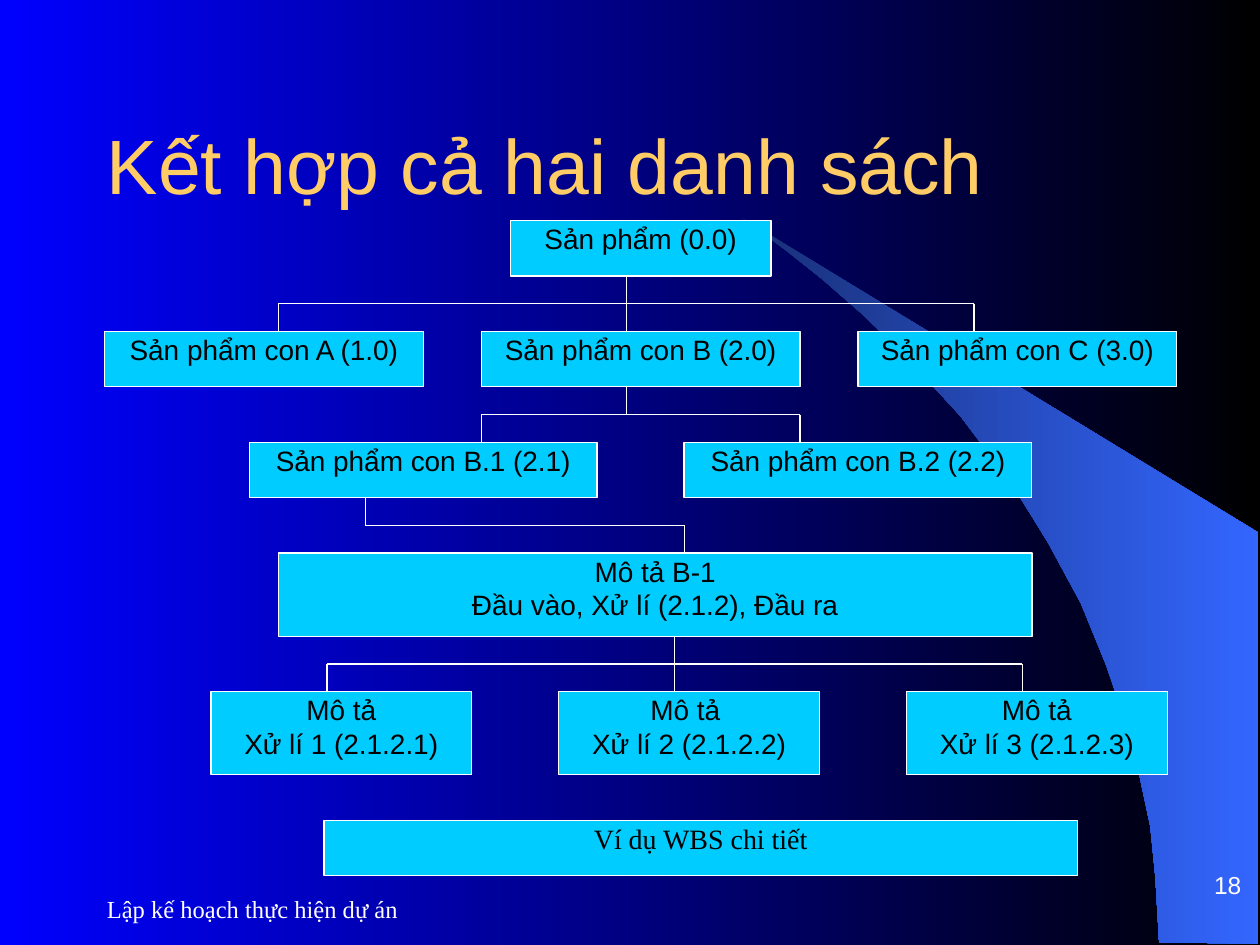
from lxml import etree
from pptx import Presentation
from pptx.dml.color import RGBColor
from pptx.enum.shapes import MSO_CONNECTOR, MSO_SHAPE
from pptx.enum.text import MSO_ANCHOR, PP_ALIGN
from pptx.oxml.ns import qn
from pptx.util import Inches, Pt

LINE, RECT = MSO_CONNECTOR.STRAIGHT, MSO_SHAPE.RECTANGLE
TOP, MID, LOW = MSO_ANCHOR.TOP, MSO_ANCHOR.MIDDLE, MSO_ANCHOR.BOTTOM
LEFT, MIDDLE, RIGHT = PP_ALIGN.LEFT, PP_ALIGN.CENTER, PP_ALIGN.RIGHT

BLUE = RGBColor(0x00, 0x00, 0xFF)
BLACK = RGBColor(0x00, 0x00, 0x00)
WHITE = RGBColor(0xFF, 0xFF, 0xFF)
CYAN = RGBColor(0x00, 0xCC, 0xFF)
GOLD = RGBColor(0xFF, 0xCC, 0x66)
NAVY = RGBColor(0x18, 0x2F, 0x76)
SKY = RGBColor(0x33, 0x66, 0xFF)

SANS, SERIF = "Arial", "Times New Roman"

# Grid of the chart, in inches
LEFT0, COL = 0.83, 0.23
TOP0, ROW = 1.75, 0.22

# Outline of the curved wedge, in inches
WEDGE = [
    (9.2, 7.48), (9.99, 7.49), (9.99, 4.23), (5.89, 1.73), (6.24, 1.99),
    (6.53, 2.22), (6.85, 2.5), (7.16, 2.8), (7.62, 3.3), (8.03, 3.84),
    (8.32, 4.31), (8.58, 4.79), (8.78, 5.28), (8.93, 5.72), (9.03, 6.09),
    (9.13, 6.56), (9.17, 6.96),
]

# Boxes: column, row, columns wide, rows high, text
BOXES = [
    (14, 0, 9, 2, "Sản phẩm (0.0)"),
    (0, 4, 11, 2, "Sản phẩm con A (1.0)"),
    (13, 4, 11, 2, "Sản phẩm con B (2.0)"),
    (26, 4, 11, 2, "Sản phẩm con C (3.0)"),
    (5, 8, 12, 2, "Sản phẩm con B.1 (2.1)"),
    (20, 8, 12, 2, "Sản phẩm con B.2 (2.2)"),
    (6, 12, 26, 3, "Mô tả B-1\nĐầu vào, Xử lí (2.1.2), Đầu ra"),
    (3.67, 17, 9, 3, "Mô tả\nXử lí 1 (2.1.2.1)"),
    (15.67, 17, 9, 3, "Mô tả \nXử lí 2 (2.1.2.2)"),
    (27.67, 17, 9, 3, "Mô tả\nXử lí 3 (2.1.2.3)"),
]

# Branches: row of the bar, column of the stem, columns of the drops
TREES = [
    (3, 18, (6, 18, 30)),
    (7, 18, (13, 24)),
    (11, 9, (20,)),
    (16, 19.67, (7.67, 19.67, 31.67)),
]


def grid_x(col):
    return Inches(LEFT0 + col * COL)


def grid_y(row):
    return Inches(TOP0 + row * ROW)


def blend(fill, start, end):
    fill.gradient()
    fill.gradient_angle = 0
    for stop, color in zip(fill.gradient_stops, (start, end)):
        stop.color.rgb = color


def write(shape, text, size, font, color, align, anchor, pad_x, pad_y):
    frame = shape.text_frame
    frame.word_wrap = True
    frame.vertical_anchor = anchor
    frame.margin_left = frame.margin_right = Inches(pad_x)
    frame.margin_top = frame.margin_bottom = Inches(pad_y)
    frame.text = text
    for para in frame.paragraphs:
        para.alignment = align
        para.font.size = Pt(size)
        para.font.name = font
        para.font.color.rgb = color


def add_label(slide, place, text, size, font, color, align, anchor, pad_y):
    box = slide.shapes.add_textbox(*map(Inches, place))
    write(box, text, size, font, color, align, anchor, 0.1, pad_y)


def add_box(slide, col, row, wide, high, text, font=SANS):
    box = slide.shapes.add_shape(
        RECT, grid_x(col), grid_y(row), Inches(wide * COL), Inches(high * ROW))
    box.shadow.inherit = False
    box.fill.solid()
    box.fill.fore_color.rgb = CYAN
    box.line.color.rgb = WHITE
    box.line.width = Pt(0.75)
    write(box, text, 16, font, BLACK, MIDDLE, TOP, 0.02, 0.01)


def add_line(slide, col1, row1, col2, row2):
    line = slide.shapes.add_connector(
        LINE, grid_x(col1), grid_y(row1), grid_x(col2), grid_y(row2))
    line.line.color.rgb = WHITE
    line.line.width = Pt(0.75)
    etree.SubElement(line._element.spPr, qn("a:effectLst"))


def add_tree(slide, row, stem, drops):
    cols = sorted({stem, *drops})
    add_line(slide, cols[0], row, cols[-1], row)
    for col in cols:
        start = row - 1 if col == stem else row
        end = row + 1 if col in drops else row
        add_line(slide, col, start, col, end)


def add_wedge(slide):
    points = [(Inches(x), Inches(y)) for x, y in WEDGE]
    path = slide.shapes.build_freeform(*points[0])
    path.add_line_segments(points[1:], close=True)
    wedge = path.convert_to_shape()
    wedge.shadow.inherit = False
    wedge.line.fill.background()
    blend(wedge.fill, NAVY, SKY)


def main():
    deck = Presentation()
    deck.slide_width, deck.slide_height = Inches(10), Inches(7.5)
    slide = deck.slides.add_slide(deck.slide_layouts[6])

    # Backdrop
    blend(slide.background.fill, BLUE, BLACK)
    add_wedge(slide)

    # Footer, page number and title
    add_label(slide, (0.75, 6.96, 4.67, 0.5), "Lập kế hoạch thực hiện dự án",
              14, SERIF, WHITE, LEFT, MID, 0.05)
    add_label(slide, (7.87, 6.72, 2.08, 0.42), "18",
              14, SANS, WHITE, RIGHT, LOW, 0)
    add_label(slide, (0.75, 0.67, 8.84, 1.25), "Kết hợp cả hai danh sách",
              44, SANS, GOLD, LEFT, MID, 0.05)

    # Work breakdown chart
    for tree in TREES:
        add_tree(slide, *tree)
    for box in BOXES:
        add_box(slide, *box)

    # Caption
    add_box(slide, 7.57, 21.64, 26, 2, "Ví dụ WBS chi tiết", SERIF)

    deck.save("out.pptx")


if __name__ == "__main__":
    main()
